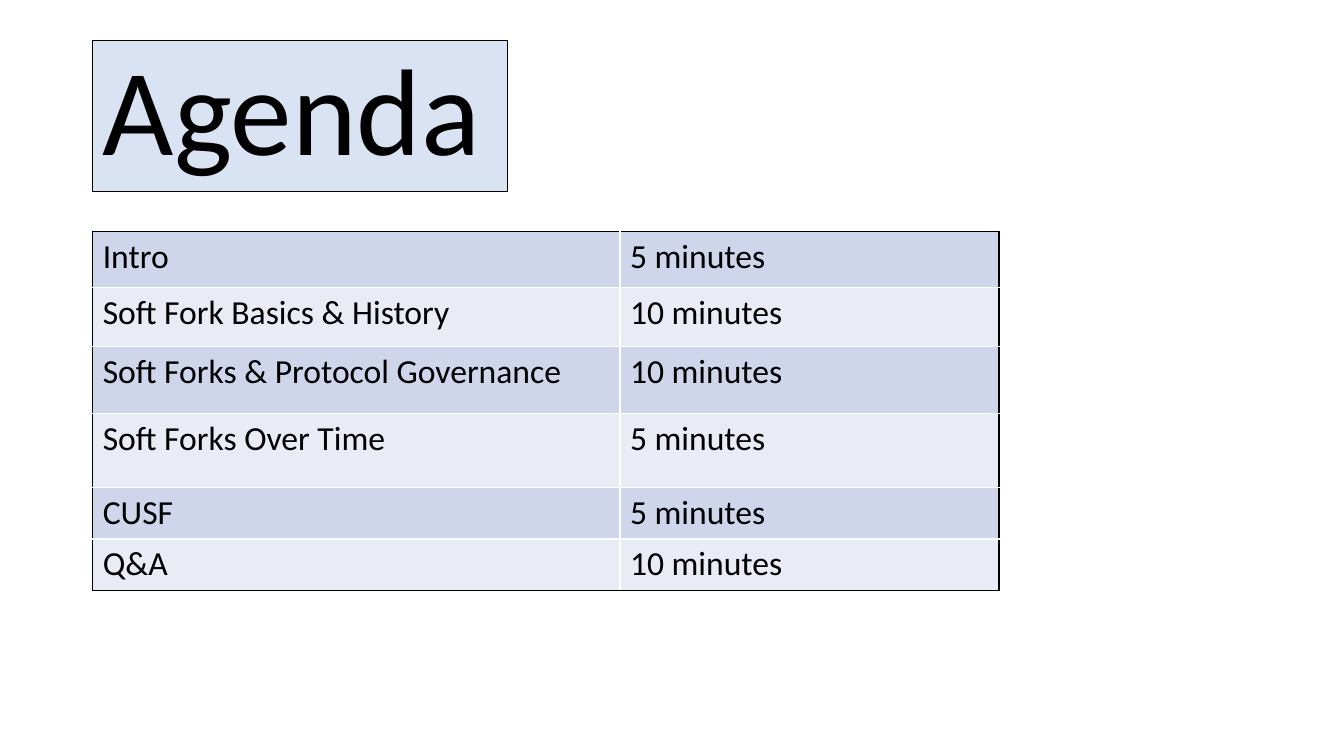
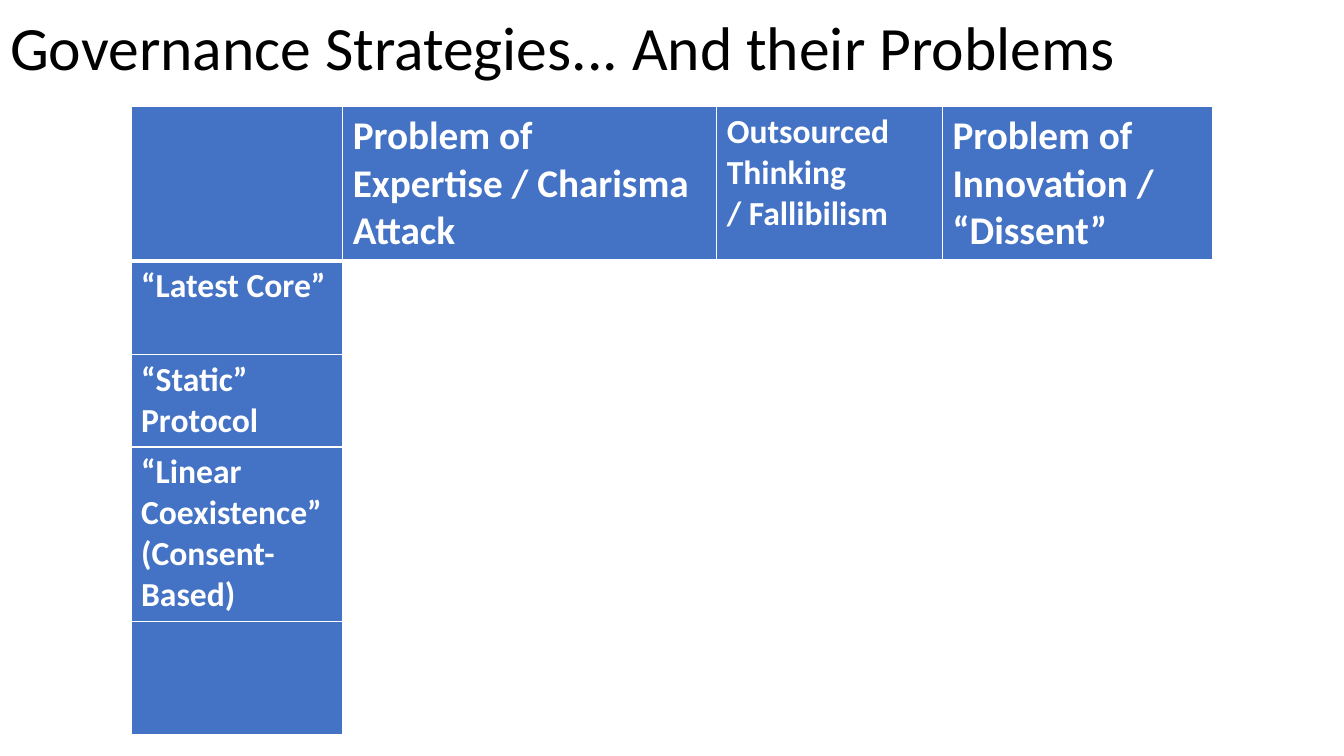
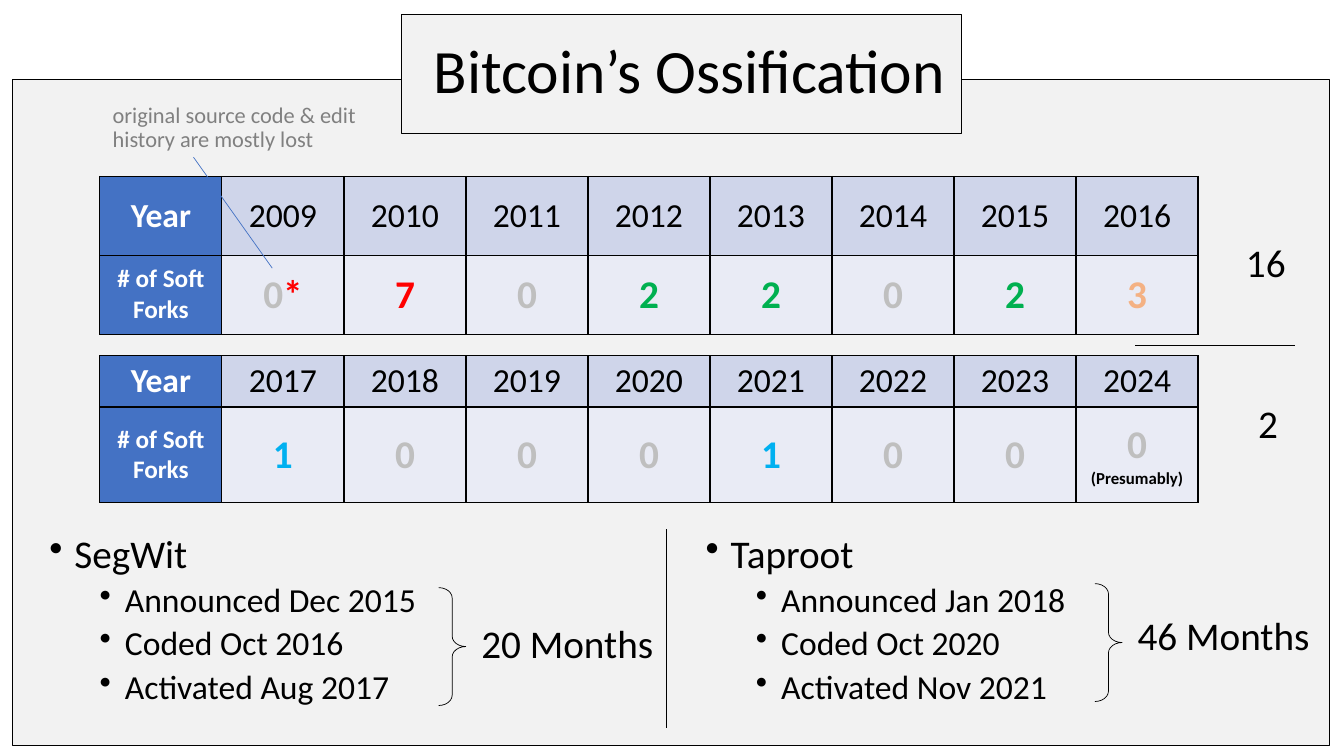
from lxml import etree
from pptx import Presentation
from pptx.dml.color import RGBColor
from pptx.enum.shapes import MSO_CONNECTOR, MSO_SHAPE
from pptx.enum.text import MSO_ANCHOR, MSO_AUTO_SIZE, PP_ALIGN
from pptx.oxml.ns import qn
from pptx.util import Inches, Pt

LEFT, CENTER = PP_ALIGN.LEFT, PP_ALIGN.CENTER
TOP, MIDDLE = MSO_ANCHOR.TOP, MSO_ANCHOR.MIDDLE
NO_AUTOFIT = MSO_AUTO_SIZE.NONE
RECTANGLE, RIGHT_BRACE = MSO_SHAPE.RECTANGLE, MSO_SHAPE.RIGHT_BRACE
STRAIGHT = MSO_CONNECTOR.STRAIGHT

WIDTH, HEIGHT = Inches(13.33), Inches(7.5)
FONT = "Calibri"
TITLE_ONLY = 5
COLORS = {
    "black": "000000", "white": "FFFFFF", "blue": "4472C4", "pale_blue": "DAE3F3",
    "band_dark": "CFD5EA", "band_light": "E9EBF5", "panel": "F2F2F2",
    "gray": "808080", "silver": "BFBFBF", "red": "FF0000", "green": "00B050",
    "orange": "F4B183", "sky": "00B0F0",
}
# Number of soft forks is coloured by how many there were
COUNT_COLORS = {"0": "silver", "1": "sky", "2": "green", "3": "orange", "7": "red"}


def color(name):
    return RGBColor.from_string(COLORS[name])


# Positions are percentages of the slide's width and height
def across(share):
    return round(WIDTH * share / 100)


def down(share):
    return round(HEIGHT * share / 100)


def box(left, top, width, height):
    return across(left), down(top), across(width), down(height)


def apply(target, values):
    for name, value in values.items():
        setattr(target, name, value)


# Text
def add_runs(paragraph, runs, size, ink, bold):
    """Runs are a string, or a list of (text, overriding formats)."""
    if isinstance(runs, str):
        runs = [(runs, {})]
    for text, changes in runs:
        style = {"size": size, "ink": ink, "bold": bold, **changes}
        run = paragraph.add_run()
        run.text = text
        apply(run.font, {"name": FONT, "size": Pt(style["size"]), "bold": style["bold"]})
        run.font.color.rgb = color(style["ink"])


def write(frame, paragraphs, size, ink="black", bold=False, **paragraph_format):
    for index, runs in enumerate(paragraphs):
        paragraph = frame.add_paragraph() if index else frame.paragraphs[0]
        apply(paragraph, paragraph_format)
        add_runs(paragraph, runs, size, ink, bold)


def add_text(slide, area, text, size, ink="black", spacing=0.9):
    frame = slide.shapes.add_textbox(*box(*area)).text_frame
    frame.word_wrap = True
    write(frame, [text], size, ink, line_spacing=spacing)


def add_bullets(slide, area, heading, items):
    frame = slide.shapes.add_textbox(*box(*area)).text_frame
    frame.word_wrap = True
    for index, text in enumerate([heading, *items]):
        paragraph = frame.add_paragraph() if index else frame.paragraphs[0]
        properties = paragraph._p.get_or_add_pPr()
        properties.set("marL", str(Inches(0.75 if index else 0.25)))
        properties.set("indent", str(Inches(-0.25)))
        etree.SubElement(properties, qn("a:buChar")).set("char", "•")
        apply(paragraph, {"level": 1 if index else 0, "line_spacing": 0.9,
                          "space_before": Pt(5 if index else 0)})
        add_runs(paragraph, text, 24 if index else 28, "black", False)


def add_title_slide(presentation, text, area, size=44, alignment=LEFT):
    slide = presentation.slides.add_slide(presentation.slide_layouts[TITLE_ONLY])
    title = slide.shapes.title
    apply(title, dict(zip(("left", "top", "width", "height"), box(*area))))
    apply(title.text_frame, {"word_wrap": True, "auto_size": NO_AUTOFIT,
                             "vertical_anchor": MIDDLE})
    write(title.text_frame, [text], size, alignment=alignment, line_spacing=0.9)
    return slide


# Shapes and lines
def paint(shape, fill, line_width):
    if fill:
        shape.fill.solid()
        shape.fill.fore_color.rgb = color(fill)
    else:
        shape.fill.background()
    shape.line.color.rgb = color("black")
    shape.line.width = Pt(line_width)


def add_outlined(slide, kind, area, fill=None):
    shape = slide.shapes.add_shape(kind, *box(*area))
    shape.shadow.inherit = False
    paint(shape, fill, 0.5)
    return shape


def add_line(slide, start, end, ink="black"):
    line = slide.shapes.add_connector(
        STRAIGHT, across(start[0]), down(start[1]), across(end[0]), down(end[1]))
    line.line.color.rgb = color(ink)
    line.line.width = Pt(0.5)
    etree.SubElement(line._element.spPr, qn("a:effectLst"))


# Tables
def add_grid(slide, left, top, columns, rows):
    frame = slide.shapes.add_table(
        len(rows), len(columns), *box(left, top, sum(columns), sum(rows)))
    table = frame.table
    apply(table, {"first_row": False, "horz_banding": False})
    for column, share in zip(table.columns, columns):
        column.width = across(share)
    for row, share in zip(table.rows, rows):
        row.height = down(share)
    return table


def set_borders(cell, **sides):
    """Each side (L, R, T, B) is given as (colour, width in points)."""
    properties = cell._tc.get_or_add_tcPr()
    for index, side in enumerate("LRTB"):
        ink, width = sides[side]
        border = etree.Element(qn(f"a:ln{side}"), w=str(Pt(width)))
        fill = etree.SubElement(border, qn("a:solidFill"))
        etree.SubElement(fill, qn("a:srgbClr")).set("val", COLORS[ink])
        properties.insert(index, border)


def fill_cell(cell, fill, paragraphs, size, ink="black", bold=False,
              anchor=TOP, alignment=LEFT):
    if fill:
        cell.fill.solid()
        cell.fill.fore_color.rgb = color(fill)
    else:
        cell.fill.background()
    cell.vertical_anchor = anchor
    write(cell.text_frame, paragraphs, size, ink, bold, alignment=alignment)


def add_year_table(slide, top, rows, years, counts):
    """Each count is a list of paragraphs."""
    table = add_grid(slide, 7.43, top, [9.08] * 9, rows)
    black = ("black", 1)
    centred = {"anchor": MIDDLE, "alignment": CENTER}
    lines = [("Year", [[str(year)] for year in years], 18 + 6, 24, "band_dark", False),
             ("# of Soft Forks", counts, 18, 28, "band_light", True)]
    for row, (label, values, label_size, size, band, bold) in enumerate(lines):
        fill_cell(table.cell(row, 0), "blue", [label], label_size, "white", True, **centred)
        for column, paragraphs in enumerate(values, 1):
            fill_cell(table.cell(row, column), band, paragraphs, size, bold=bold, **centred)
        for column in range(len(values) + 1):
            set_borders(table.cell(row, column), L=black, R=black, T=black, B=black)


def count_runs(digit):
    return [(digit, {"ink": COUNT_COLORS[digit]})]


# Slides
def build_agenda(presentation):
    slide = add_title_slide(presentation, "Agenda", (6.9, 5.33, 30.83, 20), size=88)
    paint(slide.shapes.title, "pale_blue", 0.75)
    agenda = [
        ("Intro", "5 minutes"),
        ("Soft Fork Basics & History", "10 minutes"),
        ("Soft Forks & Protocol Governance", "10 minutes"),
        ("Soft Forks Over Time", "5 minutes"),
        ("CUSF", "5 minutes"),
        ("Q&A", "10 minutes"),
    ]
    table = add_grid(slide, 6.9, 30.67, [39.23, 28.21],
                     [7.33, 7.87, 8.8, 9.87, 6.77, 6.77])
    edge, inner = ("black", 1), ("white", 1)
    for row, texts in enumerate(agenda):
        for column, text in enumerate(texts):
            cell = table.cell(row, column)
            fill_cell(cell, "band_light" if row % 2 else "band_dark", [text], 24)
            set_borders(cell,
                        L=inner if column else edge,
                        R=edge if column else inner,
                        T=inner if row else edge,
                        B=edge if row == len(agenda) - 1 else inner)


def build_governance(presentation):
    slide = add_title_slide(presentation, "Governance Strategies... And their Problems",
                            (0, 0.67, 91.52, 12.13))
    problems = [
        ([], 28),
        (["Problem of Expertise / Charisma Attack"], 28),
        (["Outsourced Thinking", "/ Fallibilism"], 24),
        (["Problem of Innovation / “Dissent”"], 28),
    ]
    strategies = [["“Latest Core”"], ["“Static” Protocol"],
                  ["“Linear Coexistence”", "(Consent-Based)"], []]
    table = add_grid(slide, 9.75, 14.13, [15.75, 27.83, 16.8, 20.1],
                     [20.4, 12.4, 12.2, 23, 15.07])
    for column, (paragraphs, size) in enumerate(problems):
        fill_cell(table.cell(0, column), "blue", paragraphs, size, "white", True)
    for row, paragraphs in enumerate(strategies, 1):
        fill_cell(table.cell(row, 0), "blue", paragraphs, 24, "white", True)
        for column in range(1, len(problems)):
            fill_cell(table.cell(row, column), None, [], 24)
    thin, thick = ("white", 1), ("white", 3)
    for row in range(len(strategies) + 1):
        for column in range(len(problems)):
            set_borders(table.cell(row, column), L=thin, R=thin,
                        T=thick if row == 1 else thin, B=thin if row else thick)


def add_timeline(slide, left, width, heading, steps, duration, brace_top, duration_top):
    add_bullets(slide, (left, 70, width, 24.4), heading, steps)
    brace = add_outlined(slide, RIGHT_BRACE, (left + 29.7, brace_top, 2.03, 15.6))
    brace.adjustments[0] = 0.38
    add_text(slide, (left + 32.15, duration_top, 14.78, 6.93), duration, 28, spacing=0.8)


def build_ossification(presentation):
    slide = add_title_slide(presentation, "Bitcoin’s Ossification",
                            (5.85, 0.4, 90.92, 18.53), alignment=CENTER)

    # Panels, with the title brought in front of them
    add_outlined(slide, RECTANGLE, (0.9, 10.53, 98.05, 88.13), "panel")
    add_outlined(slide, RECTANGLE, (29.86, 1.87, 41.71, 15.73), "panel")
    slide.shapes._spTree.append(slide.shapes.title._element)

    # Soft forks by year
    early_counts = [[count_runs(digit)] for digit in "07022023"]
    early_counts[0][0].append(("*", {"ink": "red"}))
    late_counts = [[count_runs(digit)] for digit in "10001000"]
    late_counts[-1].append([("(Presumably)", {"size": 12})])
    add_year_table(slide, 23.33, [10.44, 10.44], range(2009, 2017), early_counts)
    add_year_table(slide, 47.07, [6.77, 12.67], range(2017, 2025), late_counts)

    # Totals
    add_text(slide, (91.97, 32.13, 4.9, 6.93), "16", 28, spacing=0.8)
    add_text(slide, (92.87, 52.93, 2.7, 7.2), "2", 28)
    add_line(slide, (84.47, 45.73), (96.32, 45.73))

    # Timelines of two soft forks
    add_timeline(slide, 2.93, 40.9, "SegWit",
                 ["Announced Dec 2015", "Coded Oct 2016", "Activated Aug 2017"],
                 "20 Months", 77.73, 82.53)
    add_timeline(slide, 51.76, 32.18, "Taproot",
                 ["Announced Jan 2018", "Coded Oct 2020", "Activated Nov 2021"],
                 "46 Months", 77.2, 81.47)
    add_line(slide, (49.59, 96.27), (49.59, 70))

    # Note on the first year
    add_text(slide, (7.65, 13.07, 20.41, 7.87),
             "original source code & edit history are mostly lost", 16, "gray")
    add_line(slide, (14.4, 20.8), (20.26, 35.47), "blue")


def main():
    presentation = Presentation()
    apply(presentation, {"slide_width": WIDTH, "slide_height": HEIGHT})
    build_agenda(presentation)
    build_governance(presentation)
    build_ossification(presentation)
    presentation.save("out.pptx")


if __name__ == "__main__":
    main()
